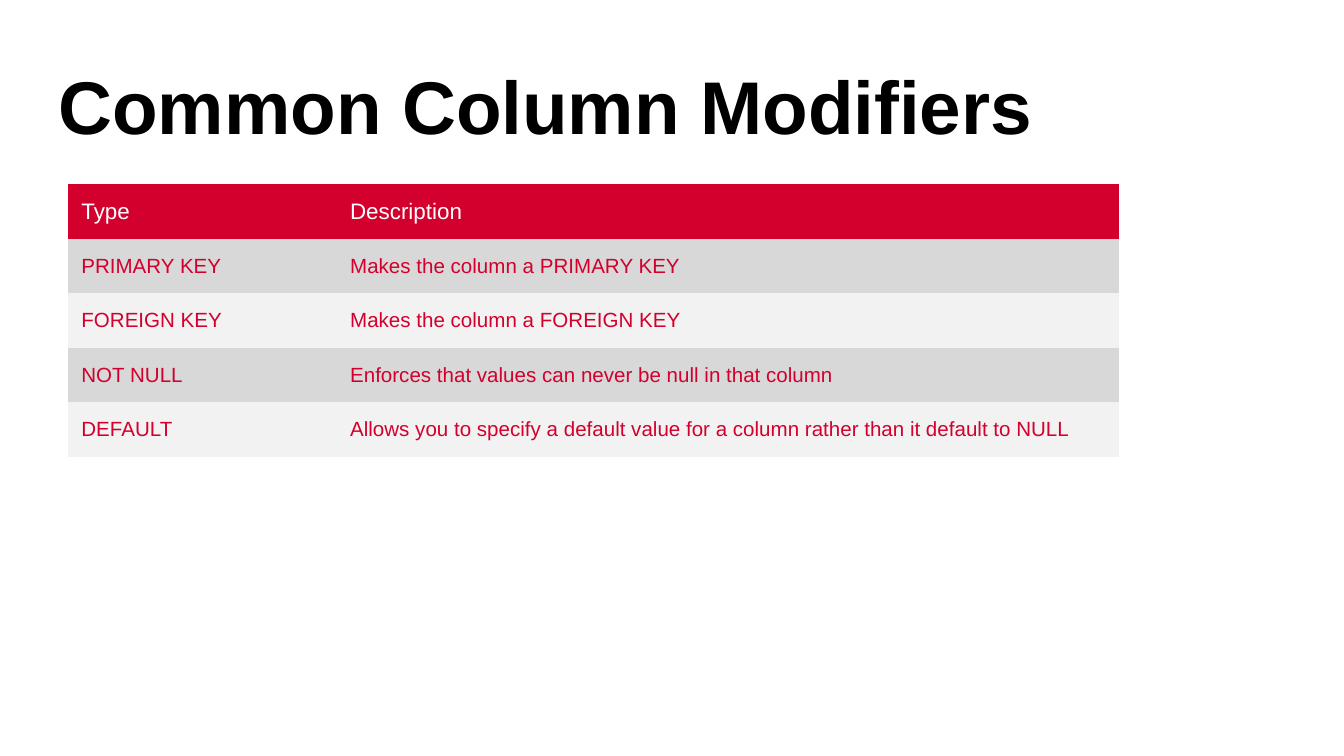
from pptx import Presentation
from pptx.dml.color import RGBColor
from pptx.enum.text import MSO_ANCHOR, PP_ALIGN
from pptx.oxml.ns import qn
from pptx.util import Pt

PX = 4572  # EMU per px, 200 px to the inch
SLIDE_W, SLIDE_H = 2000, 1125
TITLE_ONLY = 5
LEFT = PP_ALIGN.LEFT
MIDDLE, BOTTOM = MSO_ANCHOR.MIDDLE, MSO_ANCHOR.BOTTOM
NO_STYLE_NO_GRID = "{2D5ABB26-0587-4C30-8999-92F81FD0307C}"

BLACK = RGBColor(0x00, 0x00, 0x00)
WHITE = RGBColor(0xFF, 0xFF, 0xFF)
RED = RGBColor(0xD3, 0x00, 0x2D)
BAND_DARK = RGBColor(0xD8, 0xD8, 0xD8)
BAND_LIGHT = RGBColor(0xF2, 0xF2, 0xF2)

TITLE_FONT = {"name": "Arial", "size": Pt(40), "bold": True}
HEADER_FONT = {"name": "Arial", "size": Pt(12), "bold": False}
BODY_FONT = {"name": "Arial", "size": Pt(11), "bold": False}
NO_MARGINS = {f"margin_{side}": 0 for side in ("left", "top", "right", "bottom")}
CELL_FORMAT = {
    "margin_left": 20 * PX, "margin_right": 20 * PX,
    "margin_top": 10 * PX, "margin_bottom": 10 * PX,
    "vertical_anchor": MIDDLE,
}

MODIFIERS = [
    ("Type", "Description"),
    ("PRIMARY KEY", "Makes the column a PRIMARY KEY"),
    ("FOREIGN KEY", "Makes the column a FOREIGN KEY"),
    ("NOT NULL", "Enforces that values can never be null in that column"),
    ("DEFAULT", "Allows you to specify a default value for a column "
                "rather than it default to NULL"),
]
TYPE_WIDTH = 400


def apply(target, values):
    for attribute, value in values.items():
        setattr(target, attribute, value)


def write(frame, text, font, color):
    frame.text = text
    paragraph = frame.paragraphs[0]
    paragraph.alignment = LEFT
    run_font = paragraph.runs[0].font
    apply(run_font, font)
    run_font.color.rgb = color
    return paragraph


def place_title(slide, text, x, y, w, h):
    title = slide.shapes.title
    apply(title, {"left": x * PX, "top": y * PX, "width": w * PX, "height": h * PX})
    frame = title.text_frame
    apply(frame, {**NO_MARGINS, "vertical_anchor": BOTTOM, "word_wrap": True})
    write(frame, text, TITLE_FONT, BLACK).line_spacing = 0.9


def add_modifier_table(slide, rows, x, y, w, h):
    table = slide.shapes.add_table(
        len(rows), len(rows[0]), x * PX, y * PX, w * PX, h * PX).table
    table.horz_banding = False
    table._tbl.tblPr.find(qn("a:tableStyleId")).text = NO_STYLE_NO_GRID

    for column, width in zip(table.columns, (TYPE_WIDTH, w - TYPE_WIDTH)):
        column.width = width * PX

    for r, row in enumerate(rows):
        # Red header, then alternating grey bands
        if r == 0:
            fill, font, color = RED, HEADER_FONT, WHITE
        else:
            fill, font, color = BAND_DARK if r % 2 else BAND_LIGHT, BODY_FONT, RED
        for c, text in enumerate(row):
            cell = table.cell(r, c)
            apply(cell, CELL_FORMAT)
            cell.fill.solid()
            cell.fill.fore_color.rgb = fill
            write(cell.text_frame, text, font, color)


def main():
    presentation = Presentation()
    apply(presentation, {"slide_width": SLIDE_W * PX, "slide_height": SLIDE_H * PX})
    slide = presentation.slides.add_slide(presentation.slide_layouts[TITLE_ONLY])
    place_title(slide, "Common Column Modifiers", 87, 76, 1792, 148)
    add_modifier_table(slide, MODIFIERS, 101, 274, 1564, 406)
    presentation.save("out.pptx")


if __name__ == "__main__":
    main()
